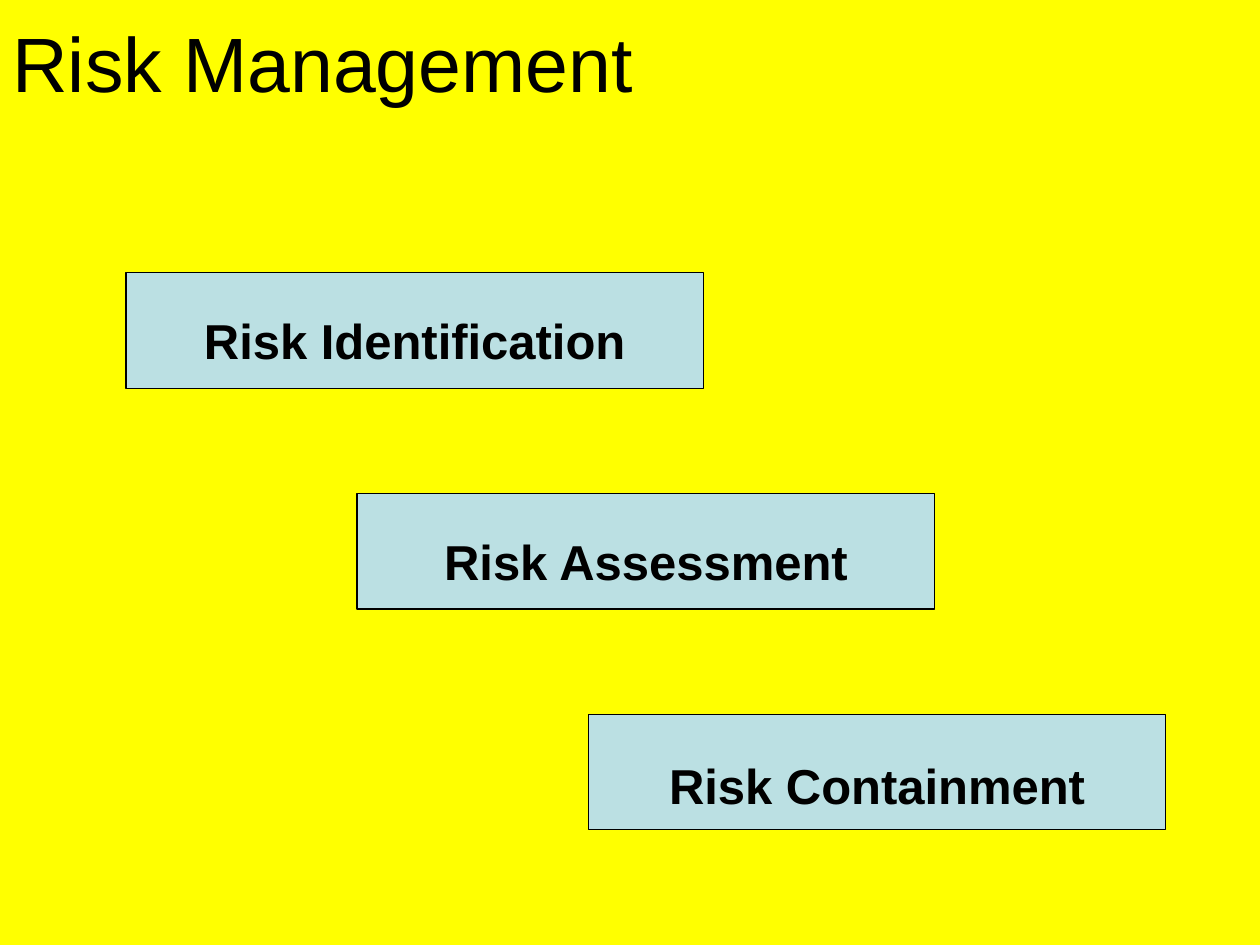
import pptx
import pptx.dml.color
import pptx.enum.shapes
import pptx.enum.text
import pptx.util
from pptx.util import Cm, Pt

TITLE = "Risk Management"
# Step label and the top inset that sets its text slightly below the middle
STEPS = [
    ("Risk Identification", 0.5),
    ("Risk Assessment", 0.5),
    ("Risk Containment", 0.66),
]

THEME = {
    "font": "Arial",
    "background": "FFFF00",
    "box": "BBE0E3",
    "ink": "000000",
    "title_size": 44,
    "step_size": 28,
    "line_width": 0.75,
}

FIRST_LEFT, FIRST_TOP = 2.54, 5.5
STEP_RIGHT, STEP_DOWN = 4.66, 4.45
BOX_WIDTH, BOX_HEIGHT = 11.64, 2.33


def color(name):
    return pptx.dml.color.RGBColor.from_string(THEME[name])


def write_text(shape, text, size, bold, alignment, anchor, top_inset):
    frame = shape.text_frame
    frame.vertical_anchor = anchor
    frame.margin_top = Cm(top_inset)
    paragraph = frame.paragraphs[0]
    paragraph.alignment = alignment
    run = paragraph.add_run()
    run.text = text
    run.font.name = THEME["font"]
    run.font.size = Pt(THEME[size])
    run.font.bold = bold
    run.font.color.rgb = color("ink")


def add_title(slide):
    shape = slide.shapes.add_textbox(0, 0, Cm(21.59), Cm(4.09))
    shape.text_frame.word_wrap = True
    write_text(shape, TITLE, "title_size", False, pptx.enum.text.PP_ALIGN.LEFT,
               pptx.enum.text.MSO_ANCHOR.TOP, 0.31)


def add_step(slide, index, label, top_inset):
    shape = slide.shapes.add_shape(
        pptx.enum.shapes.MSO_SHAPE.RECTANGLE,
        Cm(FIRST_LEFT + index * STEP_RIGHT), Cm(FIRST_TOP + index * STEP_DOWN),
        Cm(BOX_WIDTH), Cm(BOX_HEIGHT))
    shape.shadow.inherit = False
    shape.fill.solid()
    shape.fill.fore_color.rgb = color("box")
    shape.line.color.rgb = color("ink")
    shape.line.width = Pt(THEME["line_width"])
    shape.text_frame.word_wrap = False
    write_text(shape, label, "step_size", True, pptx.enum.text.PP_ALIGN.CENTER,
               pptx.enum.text.MSO_ANCHOR.MIDDLE, top_inset)


def main():
    presentation = pptx.Presentation()
    presentation.slide_width = Cm(25.4)
    presentation.slide_height = Cm(19.05)
    slide = presentation.slides.add_slide(presentation.slide_layouts[6])
    slide.background.fill.solid()
    slide.background.fill.fore_color.rgb = color("background")
    add_title(slide)
    for index, (label, top_inset) in enumerate(STEPS):
        add_step(slide, index, label, top_inset)
    presentation.save("out.pptx")


if __name__ == "__main__":
    main()
